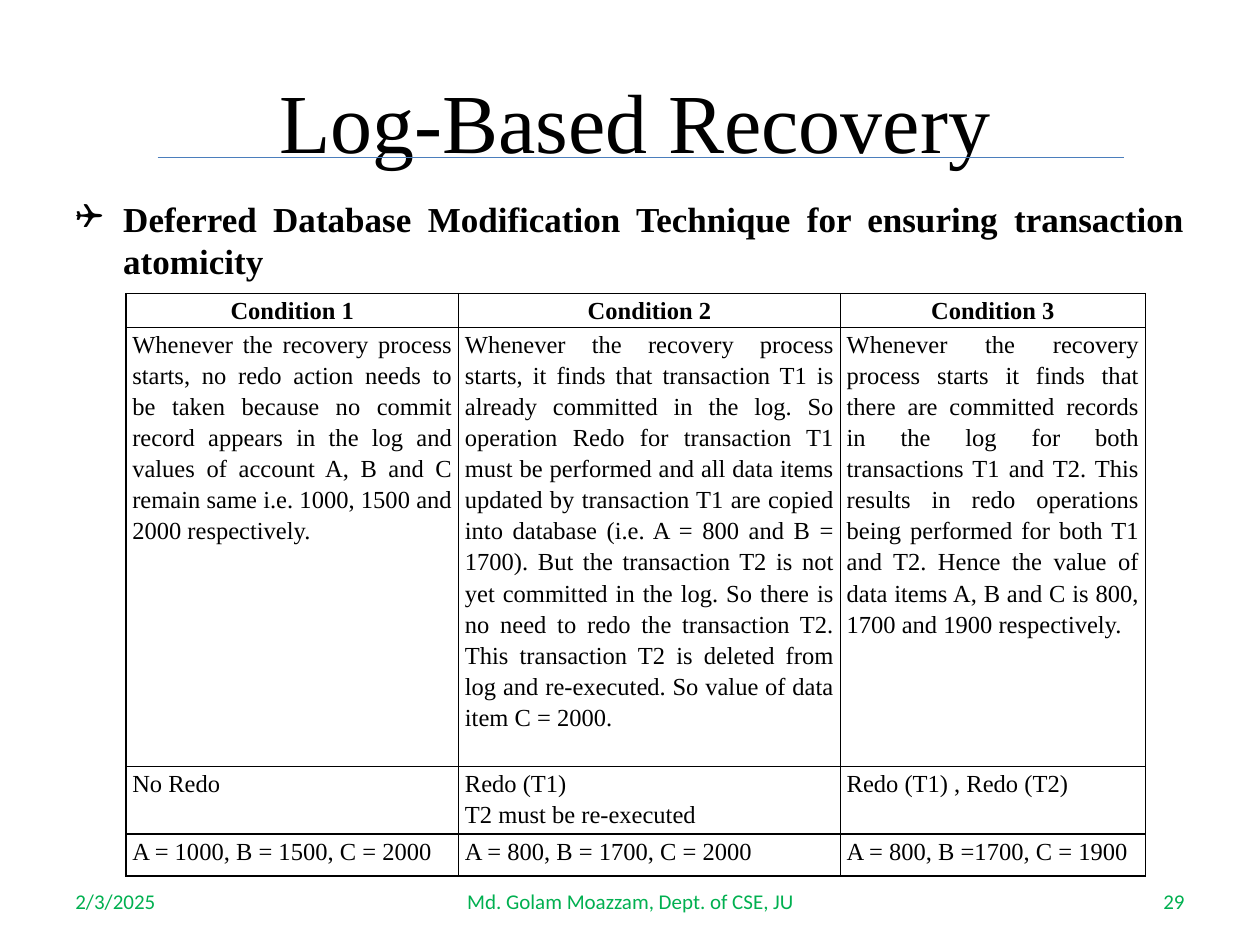
import pptx
import pptx.util
import pptx.dml.color
import pptx.enum.shapes
import pptx.enum.text
import pptx.oxml
import pptx.oxml.ns

Inches, Pt = pptx.util.Inches, pptx.util.Pt
ALIGN = pptx.enum.text.PP_ALIGN
ANCHOR = pptx.enum.text.MSO_ANCHOR
COLORS = {"text": "000000", "foot": "00B050", "rule": "4B7EBC", "border": "000000"}
SERIF, SANS = "Times New Roman", "Calibri"
NS = pptx.oxml.ns.nsdecls("a")

COLS = [2.64, 3.03, 2.42]
ROWS = [0.24, 3.2, 0.49, 0.33]
CELLS = [
    ["Condition 1", "Condition 2", "Condition 3"],
    [
        "Whenever the recovery process starts, no redo action needs to be taken "
        "because no commit record appears in the log and values of account A, B "
        "and C remain same i.e. 1000, 1500 and 2000 respectively.",
        "Whenever the recovery process starts, it finds that transaction T1 is "
        "already committed in the log. So operation Redo for transaction T1 must "
        "be performed and all data items updated by transaction T1 are copied into "
        "database (i.e. A = 800 and B = 1700). But the transaction T2 is not yet "
        "committed in the log. So there is no need to redo the transaction T2. "
        "This transaction T2 is deleted from log and re-executed. So value of data "
        "item C = 2000.",
        "Whenever the recovery process starts it finds that there are committed "
        "records in the log for both transactions T1 and T2. This results in redo "
        "operations being performed for both T1 and T2. Hence the value of data "
        "items A, B and C is 800, 1700 and 1900 respectively.",
    ],
    ["No Redo", "Redo (T1)\nT2 must be re-executed", "Redo (T1) , Redo (T2)"],
    ["A = 1000, B = 1500, C = 2000", "A = 800, B = 1700, C = 2000",
     "A = 800, B =1700, C = 1900"],
]


def color(name):
    return pptx.dml.color.RGBColor.from_string(COLORS[name])


def style(frame, size, align, face=SERIF, tint="text", bold=False):
    for para in frame.paragraphs:
        para.alignment = align
        for run in para.runs:
            font = run.font
            font.size, font.name, font.bold = Pt(size), face, bold
            font.color.rgb = color(tint)


def place(shape, left, top, width, height):
    shape.left, shape.top = Inches(left), Inches(top)
    shape.width, shape.height = Inches(width), Inches(height)


def add_title(slide, text):
    title = slide.shapes.title
    place(title, 1.33, 0.42, 7.42, 0.83)
    frame = title.text_frame
    frame.text = text
    frame.auto_size = pptx.enum.text.MSO_AUTO_SIZE.NONE
    frame.vertical_anchor = ANCHOR.TOP
    frame.margin_top = Inches(0.13)
    style(frame, 48, ALIGN.CENTER)


def add_text(slide, text, box, anchor=ANCHOR.TOP):
    frame = slide.shapes.add_textbox(*map(Inches, box)).text_frame
    frame.word_wrap = True
    frame.vertical_anchor = anchor
    frame.text = text
    return frame


def add_bullet(slide, text):
    frame = add_text(slide, text, (0.5, 1.5, 9, 5))
    frame.margin_top = Inches(0.07)
    props = frame.paragraphs[0]._p.get_or_add_pPr()
    props.set("marL", str(Inches(0.38)))
    props.set("indent", str(-Inches(0.38)))
    for tag in ('buFont %s typeface="Wingdings"', 'buChar %s char="❑"'):
        props.append(pptx.oxml.parse_xml(f"<a:{tag % NS}/>"))
    style(frame, 20, ALIGN.JUSTIFY, bold=True)


def add_rule(slide):
    ends = map(Inches, (1.25, 1.25, 8.92, 1.25))
    rule = slide.shapes.add_connector(pptx.enum.shapes.MSO_CONNECTOR.STRAIGHT, *ends)
    rule.line.color.rgb = color("rule")
    rule.line.width = Pt(0.75)
    rule._element.spPr.append(pptx.oxml.parse_xml(f"<a:effectLst {NS}/>"))


def add_border(cell):
    props = cell._tc.get_or_add_tcPr()
    for side in "LRTB":
        props.append(pptx.oxml.parse_xml(
            f'<a:ln{side} {NS} w="{Pt(1)}"><a:solidFill>'
            f'<a:srgbClr val="{COLORS["border"]}"/></a:solidFill></a:ln{side}>'))


def fill_cell(cell, text, head):
    cell.margin_left = cell.margin_right = Inches(0.05)
    cell.margin_top = cell.margin_bottom = 0
    add_border(cell)
    cell.fill.background()
    cell.text_frame.text = text
    style(cell.text_frame, 14, ALIGN.CENTER if head else ALIGN.JUSTIFY, bold=head)
    for para in cell.text_frame.paragraphs:
        para.line_spacing = 1.15


def add_grid(slide):
    box = map(Inches, (1, 2.33, sum(COLS), sum(ROWS)))
    table = slide.shapes.add_table(len(ROWS), len(COLS), *box).table
    table.first_row = table.horz_banding = False
    for col, width in zip(table.columns, COLS):
        col.width = Inches(width)
    for r, (row, height) in enumerate(zip(table.rows, ROWS)):
        row.height = Inches(height)
        for cell, text in zip(row.cells, CELLS[r]):
            fill_cell(cell, text, r == 0)


def add_foot(slide):
    parts = [
        ("2/3/2025", 0.5, 2.33, ALIGN.LEFT),
        ("Md. Golam Moazzam, Dept. of CSE, JU", 3.42, 3.17, ALIGN.CENTER),
        ("29", 7.17, 2.33, ALIGN.RIGHT),
    ]
    for text, left, width, align in parts:
        frame = add_text(slide, text, (left, 6.95, width, 0.4), ANCHOR.MIDDLE)
        style(frame, 12, align, SANS, "foot")


def main():
    deck = pptx.Presentation()
    deck.slide_width, deck.slide_height = Inches(10), Inches(7.5)
    slide = deck.slides.add_slide(deck.slide_layouts[5])
    add_foot(slide)
    add_rule(slide)
    add_title(slide, "Log-Based Recovery")
    add_bullet(slide, "Deferred Database Modification Technique for ensuring "
                      "transaction atomicity")
    add_grid(slide)
    deck.save("out.pptx")


if __name__ == "__main__":
    main()
